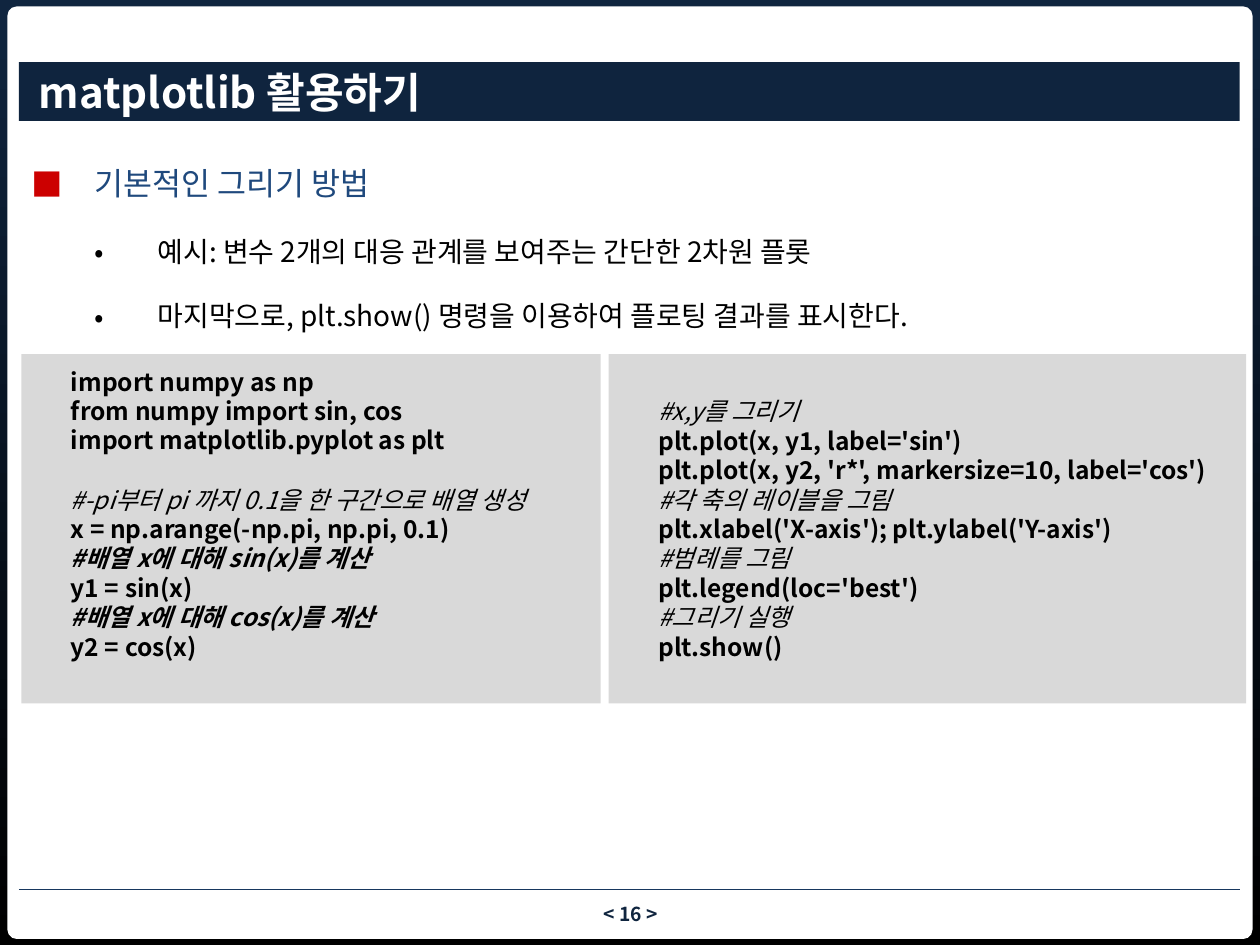
"""Build a slide on drawing basic plots with matplotlib."""
from lxml import etree
from pptx import Presentation
from pptx import util as u
from pptx.dml.color import RGBColor
from pptx.enum import shapes, text
from pptx.oxml.ns import qn

FONT = "Noto Sans CJK KR"
WHITE = RGBColor(0xFF, 0xFF, 0xFF)
BLACK = RGBColor(0, 0, 0)
NAVY = RGBColor(0x10, 0x25, 0x3F)
BAND = RGBColor(0x0F, 0x24, 0x3E)
RULE = RGBColor(0x17, 0x37, 0x5E)
BLUE = RGBColor(0x1F, 0x49, 0x7D)
RED = RGBColor(0xCC, 0, 0)
GREY = RGBColor(0xD9, 0xD9, 0xD9)

TITLE = "matplotlib 활용하기"
PAGE = "< 16 >"
POINTS = [
    (0, "기본적인 그리기 방법"),
    (1, "예시: 변수 2개의 대응 관계를 보여주는 간단한 2차원 플롯"),
    (1, "마지막으로, plt.show() 명령을 이용하여 플로팅 결과를 표시한다."),
]
LEVELS = [
    {"mark": "■", "tint": RED, "size": 18, "color": BLUE},
    {"mark": "•", "tint": BLACK, "size": 16, "color": BLACK},
]
B, I, BI = {"bold": True}, {"italic": True}, {"bold": True, "italic": True}
SETUP = [
    [("import numpy as np", B),
     ("from numpy import sin, cos", B),
     ("import matplotlib.pyplot as plt", B)],
    [("#-pi부터 pi 까지 0.1을 한 구간으로 배열 생성", I),
     ("x = np.arange(-np.pi, np.pi, 0.1)", B),
     ("#배열 x에 대해 sin(x)를 계산", BI),
     ("y1 = sin(x)", B),
     ("#배열 x에 대해 cos(x)를 계산", BI),
     ("y2 = cos(x)", B)],
]
DRAW = [
    [("#x,y를 그리기", I),
     ("plt.plot(x, y1, label='sin')", B),
     ("plt.plot(x, y2, 'r*', markersize=10, label='cos')", B),
     ("#각 축의 레이블을 그림", I),
     ("plt.xlabel('X-axis'); plt.ylabel('Y-axis')", B),
     ("#범례를 그림", I),
     ("plt.legend(loc='best')", B),
     ("#그리기 실행", I),
     ("plt.show()", B)],
]
LINE = 0.6
PANELS = [(0.43, 11.68, SETUP, 0.13 + LINE), (12.27, 12.85, DRAW, 0.13)]


def place(item, box):
    for name, val in zip(("left", "top", "width", "height"), box):
        setattr(item, name, u.Cm(val))


def frame(item, pads=(0, 0, 0, 0), wrap=True, anchor=text.MSO_ANCHOR.MIDDLE):
    body = item.text_frame
    for side, pad in zip(("left", "top", "right", "bottom"), pads):
        setattr(body, "margin_" + side, u.Cm(pad))
    body.word_wrap, body.vertical_anchor = wrap, anchor
    return body


def write(para, words, size, color, **style):
    run = para.add_run()
    run.text = words
    look = {"size": u.Pt(size), "name": FONT, "bold": False, "italic": False}
    for name, val in {**look, **style}.items():
        setattr(run.font, name, val)
    run.font.color.rgb = color
    etree.SubElement(run.font._element, qn("a:ea"), typeface=FONT)


def next_para(body):
    first = body.paragraphs[0]
    return body.add_paragraph() if first.runs else first


def block(slide, kind, box, fill):
    item = slide.shapes.add_shape(kind, *map(u.Cm, box))
    item.shadow.inherit = False
    item.fill.solid()
    item.fill.fore_color.rgb = fill
    item.line.fill.background()
    return item


def bullet(para, level, mark, tint):
    props = para._p.get_or_add_pPr()
    props.set("marL", str(u.Cm(1.27 * (level + 1))))
    props.set("indent", str(u.Cm(-1.27)))
    shade = etree.SubElement(props, qn("a:buClr"))
    etree.SubElement(shade, qn("a:srgbClr"), val=str(tint))
    etree.SubElement(props, qn("a:buFont"), typeface=FONT)
    etree.SubElement(props, qn("a:buChar"), char=mark)


def add_base(slide):
    back = slide.background.fill
    back.gradient()
    back.gradient_angle = 270
    for stop, tint in zip(back.gradient_stops, (NAVY, BLACK)):
        stop.color.rgb = tint
    card = block(slide, shapes.MSO_SHAPE.ROUNDED_RECTANGLE,
                 (0.15, 0.13, 25.1, 18.8), WHITE)
    card.adjustments[0] = 0.01
    rule = slide.shapes.add_connector(
        shapes.MSO_CONNECTOR.STRAIGHT, *map(u.Cm, (0.38, 17.93, 25, 17.93)))
    rule.line.color.rgb, rule.line.width = RULE, u.Pt(1)
    etree.SubElement(rule._element.spPr, qn("a:effectLst"))
    foot = slide.shapes.add_textbox(*map(u.Cm, (9.96, 18.19, 5.51, 0.48)))
    para = frame(foot).paragraphs[0]
    para.alignment = text.PP_ALIGN.CENTER
    write(para, PAGE, 11, NAVY, bold=True)


def add_title(slide):
    head = slide.shapes.title
    slide.shapes._spTree.append(head._element)
    place(head, (0.38, 1.25, 24.61, 1.19))
    head.fill.solid()
    head.fill.fore_color.rgb = BAND
    para = frame(head, (0.4, 0, 0, 0)).paragraphs[0]
    para.alignment = text.PP_ALIGN.LEFT
    write(para, TITLE, 24, WHITE, bold=True)


def add_points(slide):
    box = slide.shapes.add_textbox(*map(u.Cm, (0.64, 2.92, 22.66, 10.77)))
    body = frame(box, anchor=text.MSO_ANCHOR.TOP)
    for level, words in POINTS:
        look = LEVELS[level]
        para = next_para(body)
        para.level, para.line_spacing = level, 1.5
        para.space_after = u.Pt(look["size"] / 2)
        bullet(para, level, look["mark"], look["tint"])
        write(para, words, look["size"], look["color"])


def add_code(slide, left, width, parts, foot):
    item = block(slide, shapes.MSO_SHAPE.RECTANGLE,
                 (left, 7.14, width, 7.04), GREY)
    body = frame(item, (1, 0.13, 0.25, foot), wrap=False)
    for part, lines in enumerate(parts):
        for row, (words, style) in enumerate(lines):
            para = next_para(body)
            para.alignment = text.PP_ALIGN.LEFT
            if part and not row:
                para.space_before = u.Cm(LINE)
            write(para, words, 14, BLACK, **style)


def main():
    deck = Presentation()
    deck.slide_width, deck.slide_height = u.Cm(25.4), u.Cm(19.05)
    slide = deck.slides.add_slide(deck.slide_layouts[5])
    add_base(slide)
    add_title(slide)
    add_points(slide)
    for panel in PANELS:
        add_code(slide, *panel)
    deck.save("out.pptx")


if __name__ == "__main__":
    main()
